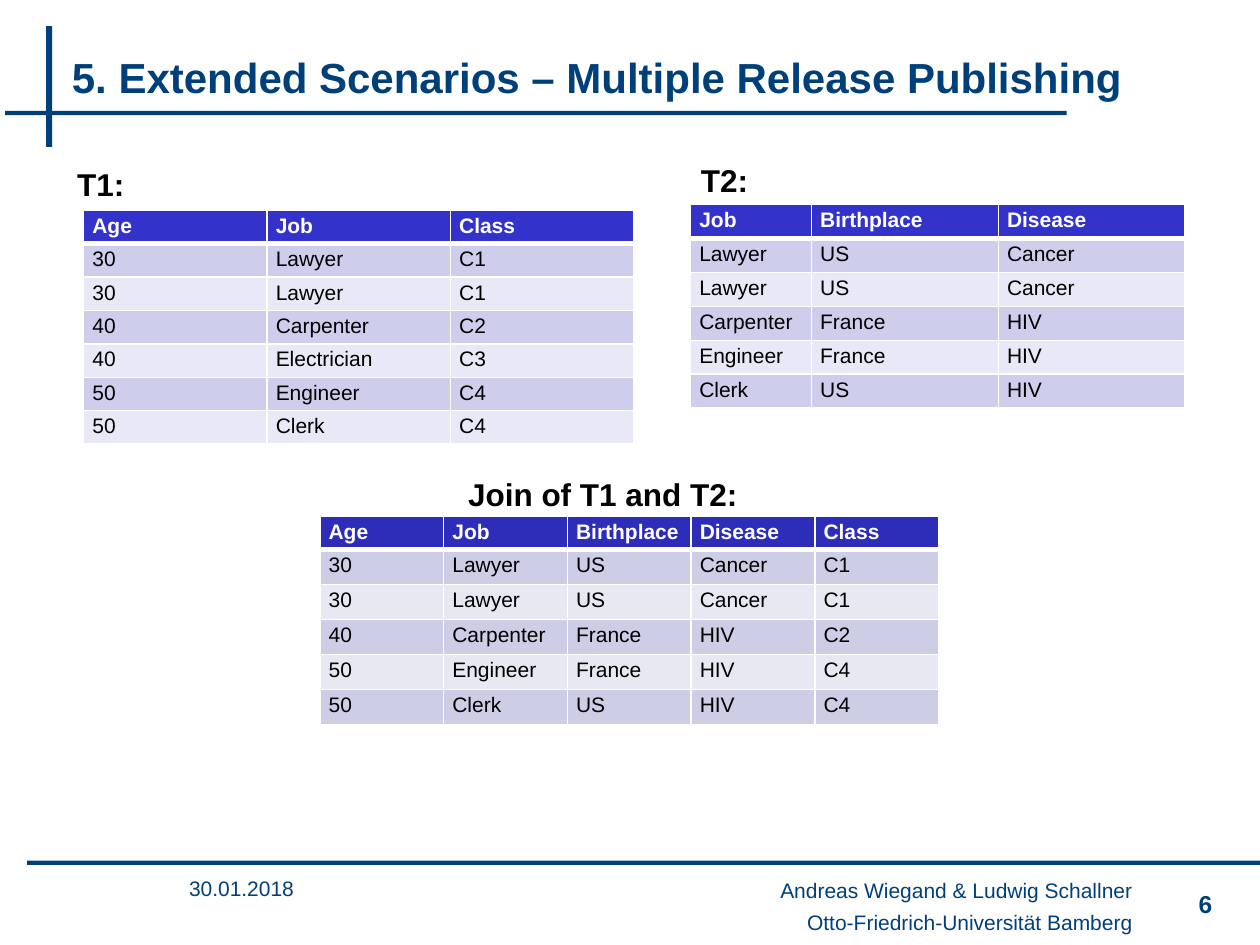
"""Build the slide on multiple release publishing: two tables and their join."""
from lxml import etree
from pptx import Presentation
from pptx import util as u
from pptx.dml.color import RGBColor
from pptx.enum import shapes, text
from pptx.oxml import ns

COLORS = {
    "navy": "00407A", "black": "000000", "white": "FFFFFF",
    "header": "3333CC", "band": "CECEEC", "light": "E8E8F6",
    "join_header": "2D2DB9", "join_band": "CDCDE6", "join_light": "E8E8F3",
}
ALIGN = text.PP_ALIGN


def write(frame, words, size, color, bold=False, align=ALIGN.LEFT):
    paragraph = frame.paragraphs[0]
    paragraph.alignment = align
    run = paragraph.add_run()
    run.text = words
    run.font.name = "Arial"
    run.font.size = u.Pt(size)
    run.font.bold = bold
    run.font.color.rgb = RGBColor.from_string(COLORS[color])


def add_border(cell, side, width):
    properties = cell._tc.get_or_add_tcPr()
    line = etree.SubElement(properties, ns.qn(f"a:{side}"), w=str(u.Pt(width)))
    fill = etree.SubElement(line, ns.qn("a:solidFill"))
    etree.SubElement(fill, ns.qn("a:srgbClr"), val=COLORS["white"])


presentation = Presentation()
presentation.slide_width, presentation.slide_height = u.Pt(720), u.Pt(540)
slide = presentation.slides.add_slide(presentation.slide_layouts[5])

bars = [(26.4, 15, 3.4, 69), (2.9, 63.4, 606.7, 2.4), (15.5, 491.8, 704.5, 2.4)]
for bar in bars:
    shape = slide.shapes.add_shape(shapes.MSO_SHAPE.RECTANGLE, *map(u.Pt, bar))
    shape.shadow.inherit = False
    shape.fill.solid()
    shape.fill.fore_color.rgb = RGBColor.from_string(COLORS["navy"])
    shape.line.fill.background()

title = slide.shapes.title
title.left, title.top, title.width, title.height = map(u.Pt, (33.9, 21.2, 620.5, 45.3))
title.text_frame.auto_size = text.MSO_AUTO_SIZE.NONE
title.text_frame.word_wrap = False
title.text_frame.vertical_anchor = text.MSO_ANCHOR.MIDDLE
write(title.text_frame, "5. Extended Scenarios – Multiple Release Publishing", 24, "navy", True)

footers = [
    ("30.01.2018", (105.1, 489, 102.2, 37.6), ALIGN.LEFT),
    ("Andreas Wiegand & Ludwig Schallner", (216.7, 496.8, 432, 23.2), ALIGN.RIGHT),
    ("Otto-Friedrich-Universität Bamberg", (156.2, 514.1, 492.5, 26), ALIGN.RIGHT),
]
for words, box, align in footers:
    frame = slide.shapes.add_textbox(*map(u.Pt, box)).text_frame
    frame.word_wrap = True
    frame.vertical_anchor = text.MSO_ANCHOR.MIDDLE
    frame.margin_left, frame.margin_right = u.Pt(2.9), u.Pt(1.4)
    write(frame, words, 12, "navy", align=align)

labels = [
    ("6", (662.4, 504.7, 37.4, 26), 14, "navy", ALIGN.RIGHT),
    ("T1:", (20.9, 90.7, 73.4, 29), 18, "black", ALIGN.CENTER),
    ("T2:", (377.3, 88.6, 73.4, 29), 18, "black", ALIGN.CENTER),
    ("Join of T1 and T2:", (229, 267.8, 231, 29), 18, "black", ALIGN.CENTER),
]
for words, box, size, color, align in labels:
    frame = slide.shapes.add_textbox(*map(u.Pt, box)).text_frame
    frame.word_wrap = True
    write(frame, words, size, color, True, align)

tables = [
    ((47.8, 120.2), [104.8] * 3, 19.1, 19.1, "", [
        "Age Job Class", "30 Lawyer C1", "30 Lawyer C1", "40 Carpenter C2",
        "40 Electrician C3", "50 Engineer C4", "50 Clerk C4"]),
    ((394.6, 116.9), [69.1, 106.8, 106.8], 19.4, 19.4, "", [
        "Job Birthplace Disease", "Lawyer US Cancer", "Lawyer US Cancer",
        "Carpenter France HIV", "Engineer France HIV", "Clerk US HIV"]),
    ((182.8, 295.2), [70.7] * 5, 18.4, 20, "join_", [
        "Age Job Birthplace Disease Class", "30 Lawyer US Cancer C1",
        "30 Lawyer US Cancer C1", "40 Carpenter France HIV C2",
        "50 Engineer France HIV C4", "50 Clerk US HIV C4"]),
]
for (left, top), widths, header_height, row_height, palette, records in tables:
    heights = [header_height] + [row_height] * (len(records) - 1)
    table = slide.shapes.add_table(
        len(records), len(widths), u.Pt(left), u.Pt(top),
        u.Pt(sum(widths)), u.Pt(sum(heights))).table
    for column, width in zip(table.columns, widths):
        column.width = u.Pt(width)
    for row_index, record in enumerate(records):
        table.rows[row_index].height = u.Pt(heights[row_index])
        is_header = row_index == 0
        shade = "header" if is_header else ("light", "band")[row_index % 2]
        for column_index, words in enumerate(record.split()):
            cell = table.cell(row_index, column_index)
            cell.margin_left = cell.margin_right = u.Pt(5)
            cell.margin_top = cell.margin_bottom = u.Pt(2.2)
            write(cell.text_frame, words, 12, "white" if is_header else "black", is_header)
            for side in ("lnL", "lnR", "lnT", "lnB"):
                thick = (row_index, side) in ((0, "lnB"), (1, "lnT"))
                add_border(cell, side, 3 if thick else 1)
            cell.fill.solid()
            cell.fill.fore_color.rgb = RGBColor.from_string(COLORS[palette + shade])

presentation.save("out.pptx")
